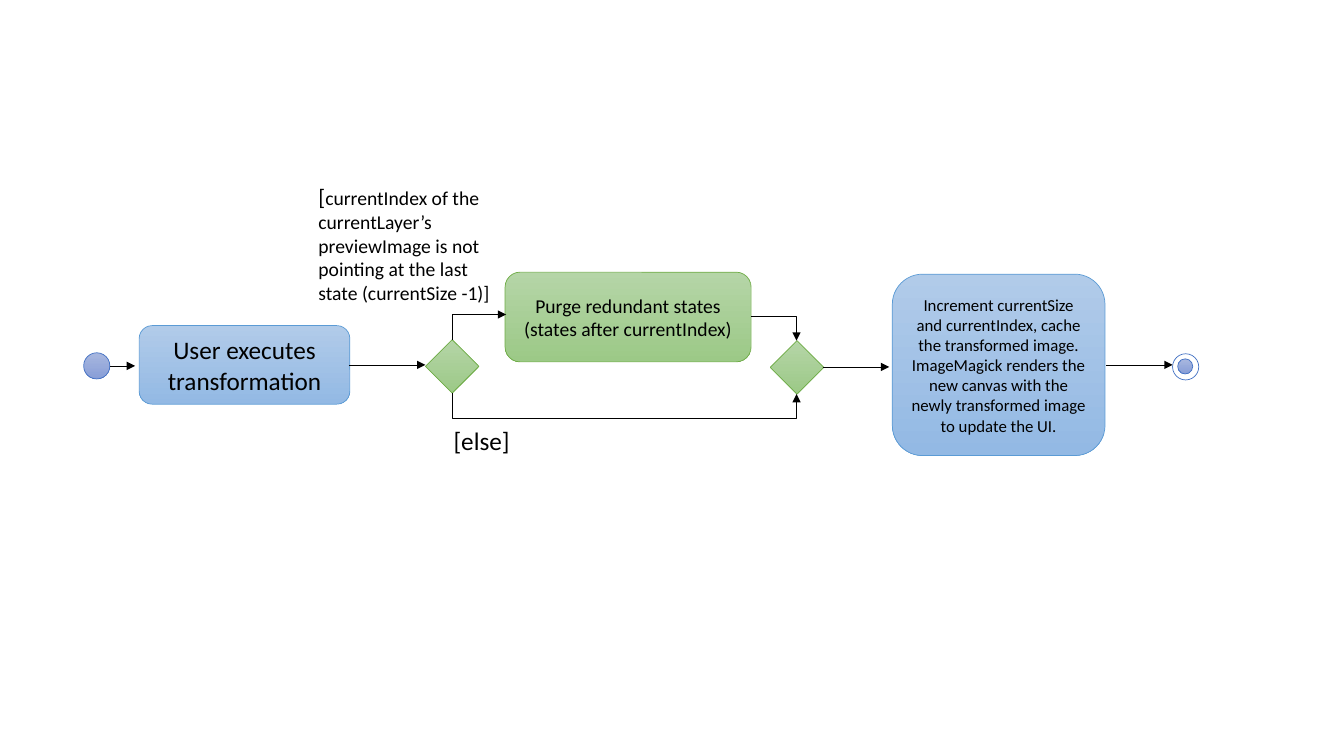
from lxml import etree
from pptx import Presentation
from pptx.dml.color import RGBColor
from pptx.enum import shapes, text
from pptx.oxml.ns import qn
from pptx.util import Inches, Pt

BLACK = RGBColor(0x00, 0x00, 0x00)
WHITE = RGBColor(0xFF, 0xFF, 0xFF)
# Each palette: gradient top, gradient bottom, outline
INDIGO = (RGBColor(0xA8, 0xB7, 0xDF), RGBColor(0x88, 0x9E, 0xD7), RGBColor(0x44, 0x72, 0xC4))
BLUE = (RGBColor(0xB1, 0xCB, 0xE9), RGBColor(0x93, 0xB9, 0xE4), RGBColor(0x5B, 0x9B, 0xD5))
GREEN = (RGBColor(0xB5, 0xD5, 0xA7), RGBColor(0x9C, 0xC9, 0x87), RGBColor(0x70, 0xAD, 0x47))
HOLLOW = (WHITE, WHITE, INDIGO[2])
KIND = shapes.MSO_SHAPE


def add_node(parent, kind, box, palette):
    node = parent.add_shape(kind, *map(Inches, box))
    top, bottom, outline = palette
    node.shadow.inherit = False
    if top == bottom:
        node.fill.solid()
        node.fill.fore_color.rgb = top
    else:
        node.fill.gradient()
        node.fill.gradient_angle = 270
        for stop, color in zip(node.fill.gradient_stops, (top, bottom)):
            stop.color.rgb = color
    node.line.color.rgb = outline
    node.line.width = Pt(0.5)
    return node


def write(paragraph, wording, size):
    run = paragraph.add_run()
    run.text = wording
    for name, value in {"name": "Calibri", "size": Pt(size)}.items():
        setattr(run.font, name, value)
    run.font.color.rgb = BLACK


def add_action(parent, box, palette, wording, size):
    frame = add_node(parent, KIND.ROUNDED_RECTANGLE, box, palette).text_frame
    frame.word_wrap = True
    frame.vertical_anchor = text.MSO_ANCHOR.MIDDLE
    paragraph = frame.paragraphs[0]
    paragraph.alignment = text.PP_ALIGN.CENTER
    write(paragraph, wording, size)


def add_guard(parent, box, runs):
    frame = parent.add_textbox(*map(Inches, box)).text_frame
    frame.word_wrap = True
    for wording, size in runs:
        write(frame.paragraphs[0], wording, size)


def add_flow(parent, start, end, kind=shapes.MSO_CONNECTOR.STRAIGHT):
    flow = parent.add_connector(kind, *map(Inches, start + end))
    flow.line.color.rgb = BLACK
    flow.line.width = Pt(0.5)
    properties = flow.element.spPr
    etree.SubElement(properties.find(qn("a:ln")), qn("a:tailEnd"), type="triangle")
    etree.SubElement(properties, qn("a:effectLst"))
    return properties


def add_bent_flow(parent, start, end, preset, rotation=0, bend=None):
    """Start and end are the corners before rotation; bend is in 1/1000 percent."""
    properties = add_flow(parent, start, end, shapes.MSO_CONNECTOR.ELBOW)
    properties.find(qn("a:xfrm")).set("rot", str(rotation * 60000))
    geometry = properties.find(qn("a:prstGeom"))
    geometry.set("prst", preset)
    if bend is not None:
        guides = geometry.find(qn("a:avLst"))
        etree.SubElement(guides, qn("a:gd"), name="adj1", fmla=f"val {bend}")


def main():
    deck = Presentation()
    deck.slide_width, deck.slide_height = Inches(13.33), Inches(7.5)
    slide = deck.slides.add_slide(deck.slide_layouts[6])
    canvas = slide.shapes

    # Start and end markers
    add_node(canvas, KIND.OVAL, (0.83, 3.5, 0.26, 0.26), INDIGO)
    finish = canvas.add_group_shape().shapes
    add_node(finish, KIND.OVAL, (11.63, 3.51, 0.26, 0.26), HOLLOW)
    add_node(finish, KIND.OVAL, (11.68, 3.56, 0.15, 0.15), INDIGO)

    # Decision and merge
    for left, top in ((4.22, 3.37), (7.64, 3.38)):
        add_node(canvas, KIND.DIAMOND, (left, top, 0.53, 0.53), GREEN)

    # Actions
    add_action(canvas, (1.38, 3.23, 2.09, 0.78), BLUE, "User executes transformation", 18)
    add_action(canvas, (5.01, 2.7, 2.44, 0.89), GREEN,
               "Purge redundant states (states after currentIndex)", 14)
    add_action(canvas, (8.85, 2.72, 2.11, 1.8), BLUE,
               "Increment currentSize and currentIndex, cache the transformed image. "
               "ImageMagick renders the new canvas with the newly transformed image "
               "to update the UI.", 12)

    # Guards on the two branches
    add_guard(canvas, (3.06, 1.77, 2.07, 1.31), [
        ("[", 16),
        ("currentIndex of the currentLayer’s previewImage is not pointing "
         "at the last state (currentSize -1)]", 14)])
    add_guard(canvas, (4.4, 4.17, 0.93, 0.4), [("[else]", 18)])

    # Straight flows
    for left, right, y in ((1.09, 1.34, 3.63), (3.46, 4.22, 3.62),
                           (8.16, 8.82, 3.64), (10.97, 11.63, 3.62)):
        add_flow(canvas, (left, y), (right, y))

    # Branch up, branch below, and return to the merge
    add_bent_flow(canvas, (4.88, 3.51), (4.63, 2.98), "bentConnector2", 90)
    add_bent_flow(canvas, (6.2, 2.2), (6.19, 5.61), "bentConnector3", 270, 2500000)
    add_bent_flow(canvas, (7.45, 3.14), (7.9, 3.38), "bentConnector2")

    deck.save("out.pptx")


if __name__ == "__main__":
    main()
